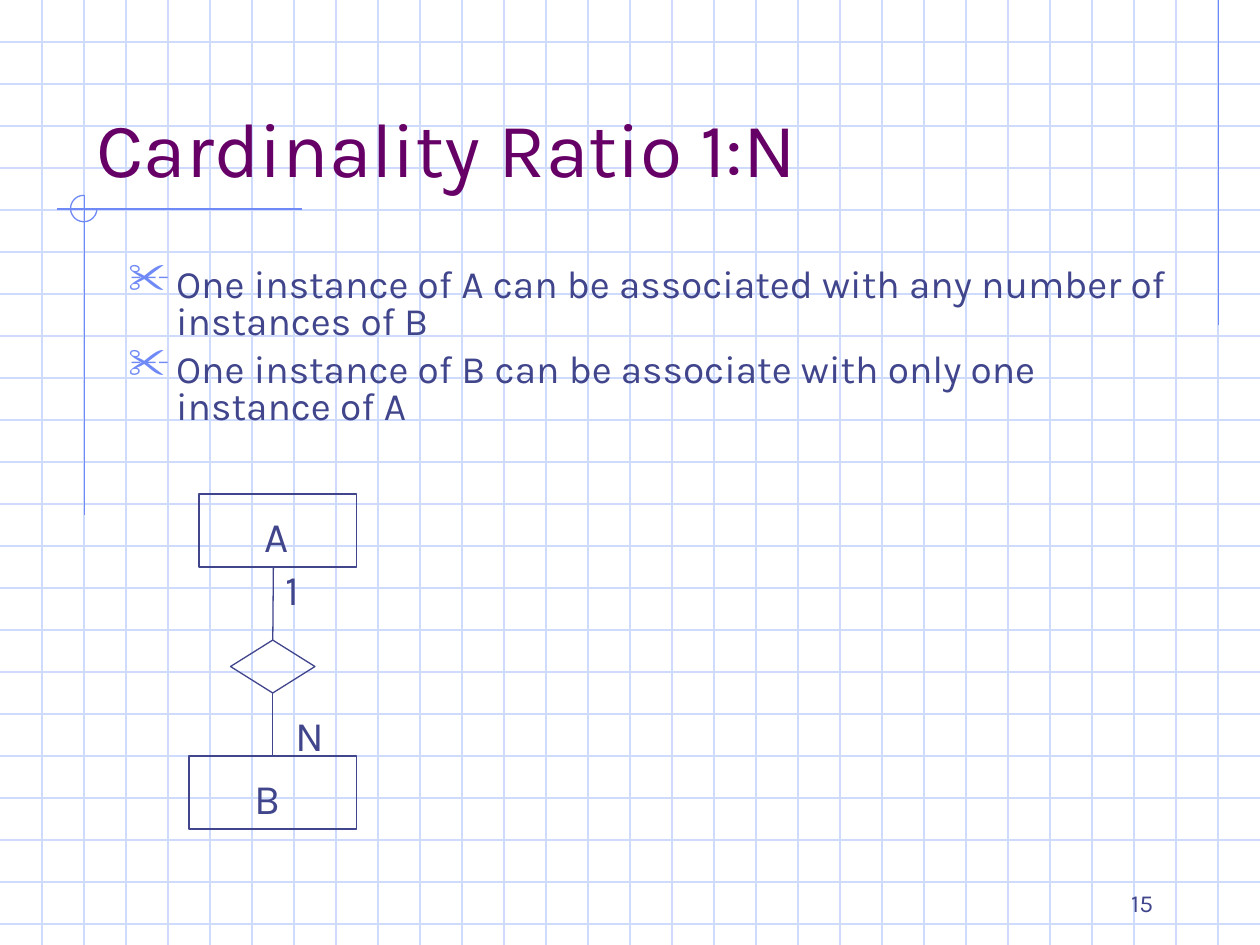
"""Build the slide on the 1:N cardinality ratio."""
from lxml import etree
from pptx import Presentation
from pptx.dml.color import RGBColor
from pptx.enum.shapes import MSO_CONNECTOR, MSO_SHAPE
from pptx.enum.text import MSO_ANCHOR, MSO_AUTO_SIZE, PP_ALIGN
from pptx.oxml.ns import qn
from pptx.util import Inches, Pt

STRAIGHT = MSO_CONNECTOR.STRAIGHT
RECTANGLE, DIAMOND, ARC = MSO_SHAPE.RECTANGLE, MSO_SHAPE.DIAMOND, MSO_SHAPE.ARC
TOP, BOTTOM = MSO_ANCHOR.TOP, MSO_ANCHOR.BOTTOM
LEFT, RIGHT = PP_ALIGN.LEFT, PP_ALIGN.RIGHT
FIT_SHAPE = MSO_AUTO_SIZE.SHAPE_TO_FIT_TEXT

GRID = RGBColor(0xCF, 0xDB, 0xFD)
ACCENT = RGBColor(0x6F, 0x89, 0xF7)
INK = RGBColor(0x40, 0x45, 0x8C)
PURPLE = RGBColor(0x66, 0x00, 0x66)
FONT = "Karla"
WIDTH, HEIGHT = 10, 7.5
CELLS_PER_INCH = 3

TITLE = "Cardinality Ratio 1:N"
PAGE_NUMBER = "15"
BULLETS = [
    "One instance of A can be associated with any number of instances of B",
    "One instance of B can be associate with only one instance of A",
]
RULES = [
    ((9.67, 0), (9.67, 2.58)),
    ((2.4, 1.66), (0.45, 1.66)),
    ((0.67, 1.55), (0.67, 4.09)),
]
ENTITY_A = (1.58, 3.92, 1.25, 0.58)
ENTITY_B = (1.5, 6, 1.33, 0.58)
RELATIONSHIP = (1.83, 5.08, 0.67, 0.42)
LABELS = [
    ("A", (2, 4, 0.5, 0.5)),
    ("B", (1.92, 6.08, 0.42, 0.5)),
    ("1", (2.17, 4.42, 0.33, 0.5)),
    ("N", (2.25, 5.58, 0.5, 0.5)),
]


def add_line(slide, start, end, color):
    points = [Inches(value) for value in (*start, *end)]
    connector = slide.shapes.add_connector(STRAIGHT, *points)
    connector.line.color.rgb = color
    connector.line.width = Pt(0.75)
    etree.SubElement(connector._element.spPr, qn("a:effectLst"))
    return connector


def add_outline(slide, kind, box, color):
    shape = slide.shapes.add_shape(kind, *map(Inches, box))
    shape.shadow.inherit = False
    shape.fill.background()
    shape.line.color.rgb = color
    shape.line.width = Pt(0.75)
    return shape


def add_text(slide, lines, box, size, color, anchor=TOP, align=LEFT):
    text_frame = slide.shapes.add_textbox(*map(Inches, box)).text_frame
    text_frame.word_wrap = True
    text_frame.vertical_anchor = anchor
    text_frame.text = "\n".join(lines)
    for paragraph in text_frame.paragraphs:
        paragraph.alignment = align
        font = paragraph.runs[0].font
        font.name, font.size = FONT, Pt(size)
        font.color.rgb = color
    return text_frame


def add_scissors_bullet(paragraph):
    paragraph.line_spacing = 0.8
    paragraph.space_before = Pt(6)
    properties = paragraph._p.get_or_add_pPr()
    properties.set("marL", str(Inches(0.38)))
    properties.set("indent", str(-Inches(0.38)))
    color = etree.SubElement(properties, qn("a:buClr"))
    etree.SubElement(color, qn("a:srgbClr"), val=str(ACCENT))
    etree.SubElement(properties, qn("a:buSzPct"), val="110000")
    etree.SubElement(properties, qn("a:buChar"), char="✂")


def add_background(slide):
    for row in range(1, int(HEIGHT * CELLS_PER_INCH) + 1):
        y = row / CELLS_PER_INCH
        add_line(slide, (0, y), (WIDTH, y), GRID)
    for column in range(1, WIDTH * CELLS_PER_INCH):
        x = column / CELLS_PER_INCH
        add_line(slide, (x, 0), (x, HEIGHT), GRID)
    for start, end in RULES:
        add_line(slide, start, end, ACCENT)
    arc = add_outline(slide, ARC, (0.56, 1.55, 0.21, 0.21), ACCENT)
    arc.adjustments[0] = 0
    arc.adjustments[1] = 162


def add_diagram(slide):
    add_outline(slide, RECTANGLE, ENTITY_A, INK)
    entity_b = add_outline(slide, RECTANGLE, ENTITY_B, INK)
    relationship = add_outline(slide, DIAMOND, RELATIONSHIP, INK)
    upper = add_line(slide, (2.17, 5.08), (2.17, 4.5), INK)
    upper.begin_connect(relationship, 0)
    lower = add_line(slide, (2.17, 5.5), (2.17, 6), INK)
    lower.begin_connect(relationship, 2)
    lower.end_connect(entity_b, 0)
    for text, box in LABELS:
        text_frame = add_text(slide, [text], box, 24, INK)
        text_frame.auto_size = FIT_SHAPE
        text_frame.paragraphs[0].space_before = Pt(15)


def main():
    presentation = Presentation()
    presentation.slide_width = Inches(WIDTH)
    presentation.slide_height = Inches(HEIGHT)
    slide = presentation.slides.add_slide(presentation.slide_layouts[6])
    add_background(slide)
    add_text(slide, [PAGE_NUMBER], (7.17, 6.83, 2.08, 0.5), 14, INK, BOTTOM, RIGHT)
    add_text(slide, [TITLE], (0.67, 0.33, 8.5, 1.25), 44, PURPLE, BOTTOM)
    body = add_text(slide, BULLETS, (0.92, 2.08, 8.5, 1.42), 22.2, INK)
    for paragraph in body.paragraphs:
        add_scissors_bullet(paragraph)
    add_diagram(slide)
    presentation.save("out.pptx")


if __name__ == "__main__":
    main()
